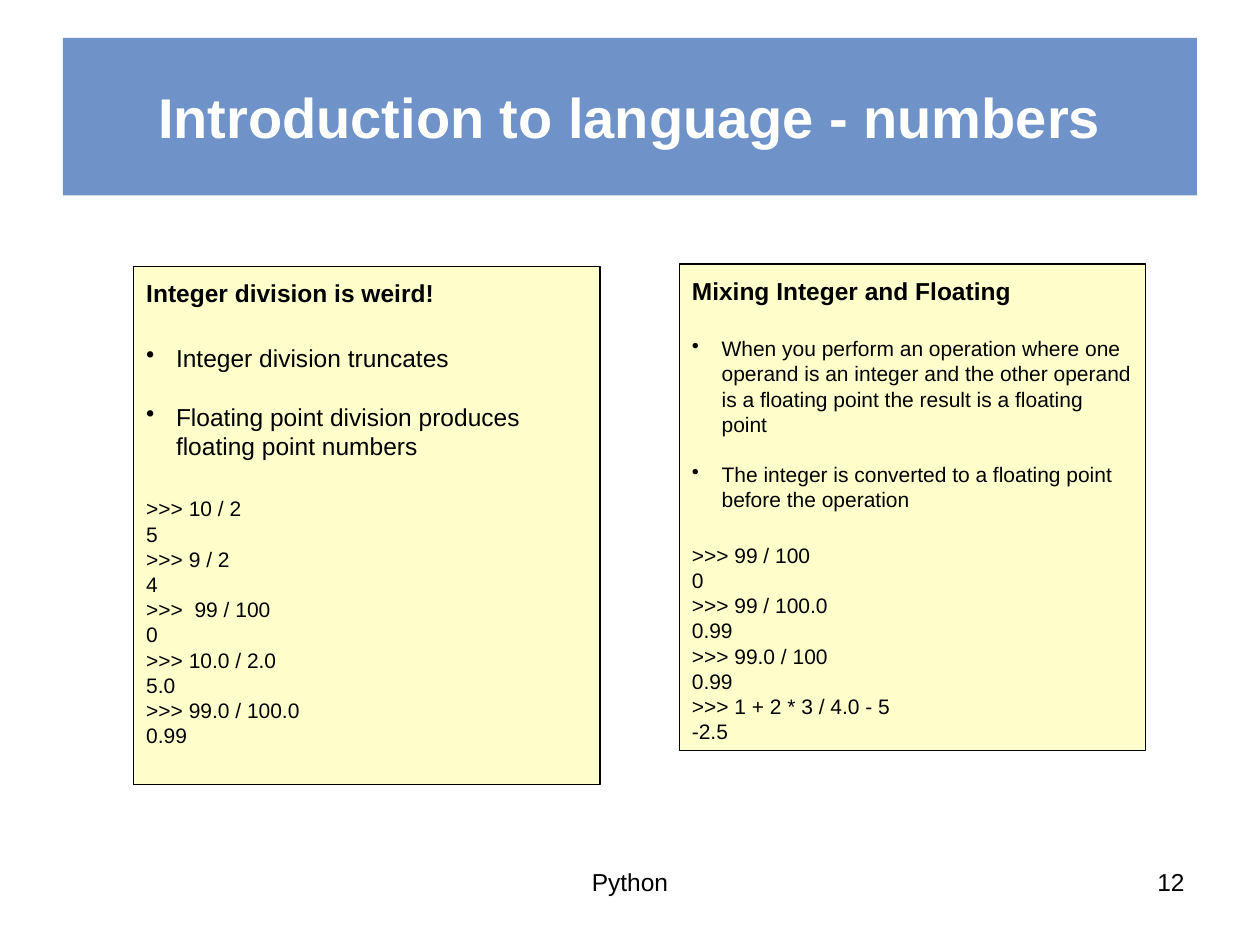
from dataclasses import dataclass

from lxml.etree import SubElement
from pptx import Presentation
from pptx.dml.color import RGBColor
from pptx.enum.shapes import MSO_SHAPE
from pptx.enum.text import MSO_ANCHOR, PP_ALIGN
from pptx.oxml.ns import qn
from pptx.util import Pt


@dataclass(frozen=True)
class Theme:
    font: str = "Arial"
    banner: RGBColor = RGBColor(0x47, 0x75, 0xB9)
    banner_opacity: int = 78
    panel: RGBColor = RGBColor(0xFF, 0xFF, 0xCC)
    ink: RGBColor = RGBColor(0, 0, 0)
    white: RGBColor = RGBColor(0xFF, 0xFF, 0xFF)
    title_size: int = 32
    text_size: int = 14
    code_size: int = 12
    pitch: float = 1.2  # line height as a multiple of the type size
    indent: int = 17


THEME = Theme()


def style(p, size, color=THEME.ink, bold=False, align=PP_ALIGN.LEFT):
    p.alignment = align
    p.font.name = THEME.font
    p.font.size = Pt(size)
    p.font.bold = bold
    p.font.color.rgb = color


def add_box(slide, left, top, width, height, fill):
    s = slide.shapes.add_shape(
        MSO_SHAPE.RECTANGLE, Pt(left), Pt(top), Pt(width), Pt(height))
    s.shadow.inherit = False
    s.fill.solid()
    s.fill.fore_color.rgb = fill
    s.text_frame.word_wrap = True
    return s


def add_banner(slide, text):
    s = add_box(slide, 36, 21.6, 648, 90, THEME.banner)
    s.line.fill.background()
    color = s.fill._xPr.find(qn("a:solidFill"))[0]
    SubElement(color, qn("a:alpha"), val=str(THEME.banner_opacity * 1000))
    tf = s.text_frame
    tf.vertical_anchor = MSO_ANCHOR.MIDDLE
    tf.text = text
    style(tf.paragraphs[0], THEME.title_size, THEME.white, True, PP_ALIGN.CENTER)


def add_bullet(p):
    pPr = p._p.get_or_add_pPr()
    pPr.set("marL", str(Pt(THEME.indent)))
    pPr.set("indent", str(-Pt(THEME.indent)))
    bullet = pPr.makeelement(qn("a:buChar"), {"char": "•"})
    pPr.insert_element_before(bullet, "a:tabLst", "a:defRPr", "a:extLst")


def add_line(tf, text, size, before=0, bold=False):
    p = tf.add_paragraph()
    p.text = text
    p.line_spacing = Pt(round(size * THEME.pitch, 2))
    p.space_before = Pt(round(before, 2))
    style(p, size, bold=bold)
    return p


def add_panel(slide, left, top, height, heading, bullets, bullet_size, code):
    s = add_box(slide, left, top, 266.4, height, THEME.panel)
    s.line.color.rgb = THEME.ink
    s.line.width = Pt(0.75)
    tf = s.text_frame
    tf.vertical_anchor = MSO_ANCHOR.TOP

    # Heading
    p = tf.paragraphs[0]
    p.text = heading
    p.line_spacing = THEME.pitch
    style(p, THEME.text_size, bold=True)

    # Bullets, with wider gaps between the sections than inside them
    item_gap = bullet_size * THEME.pitch
    section_gap = item_gap * THEME.pitch
    for i, text in enumerate(bullets):
        add_bullet(add_line(tf, text, bullet_size, item_gap if i else section_gap))

    # Interpreter session
    for i, text in enumerate(code):
        add_line(tf, text, THEME.code_size, 0 if i else section_gap)


def add_footer(slide, left, width, text, align):
    s = slide.shapes.add_textbox(Pt(left), Pt(491.8), Pt(width), Pt(37.4))
    tf = s.text_frame
    tf.word_wrap = True
    tf.text = text
    style(tf.paragraphs[0], THEME.text_size, align=align)


def main():
    prs = Presentation()
    prs.slide_width, prs.slide_height = Pt(720), Pt(540)
    slide = prs.slides.add_slide(prs.slide_layouts[6])

    add_banner(slide, "Introduction to language - numbers")

    # Two panels side by side
    add_panel(
        slide, 76.5, 152.1, 296.3, "Integer division is weird!",
        ["Integer division truncates",
         "Floating point division produces floating point numbers"],
        THEME.text_size,
        [">>> 10 / 2", "5", ">>> 9 / 2", "4", ">>>  99 / 100", "0",
         ">>> 10.0 / 2.0", "5.0", ">>> 99.0 / 100.0", "0.99"])
    add_panel(
        slide, 388.3, 150.9, 277.9, "Mixing Integer and Floating",
        ["When you perform an operation where one operand is an integer and "
         "the other operand is a floating point the result is a floating point",
         "The integer is converted to a floating point before the operation"],
        THEME.code_size,
        [">>> 99 / 100", "0", ">>> 99 / 100.0", "0.99", ">>> 99.0 / 100",
         "0.99", ">>> 1 + 2 * 3 / 4.0 - 5", "-2.5"])

    # Footer
    add_footer(slide, 516, 168, "12", PP_ALIGN.RIGHT)
    add_footer(slide, 246, 228, "Python", PP_ALIGN.CENTER)

    prs.save("out.pptx")


if __name__ == "__main__":
    main()
